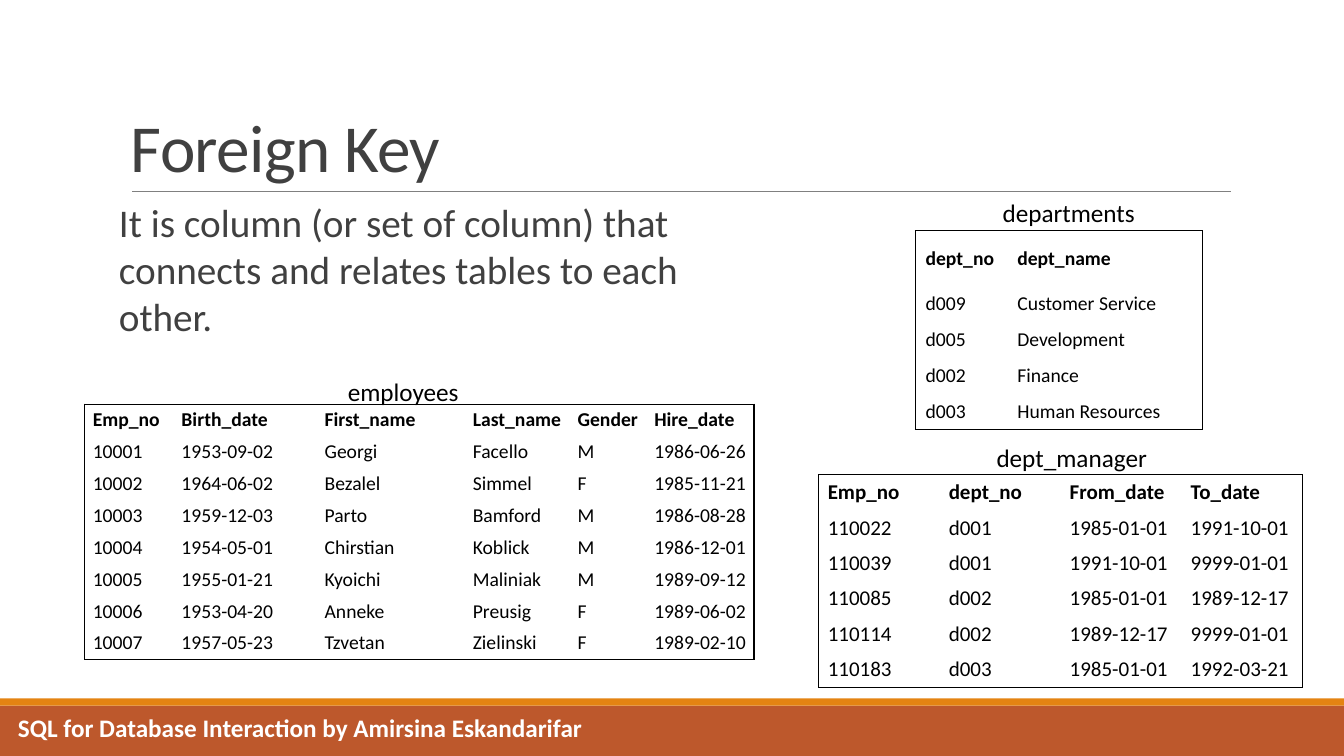
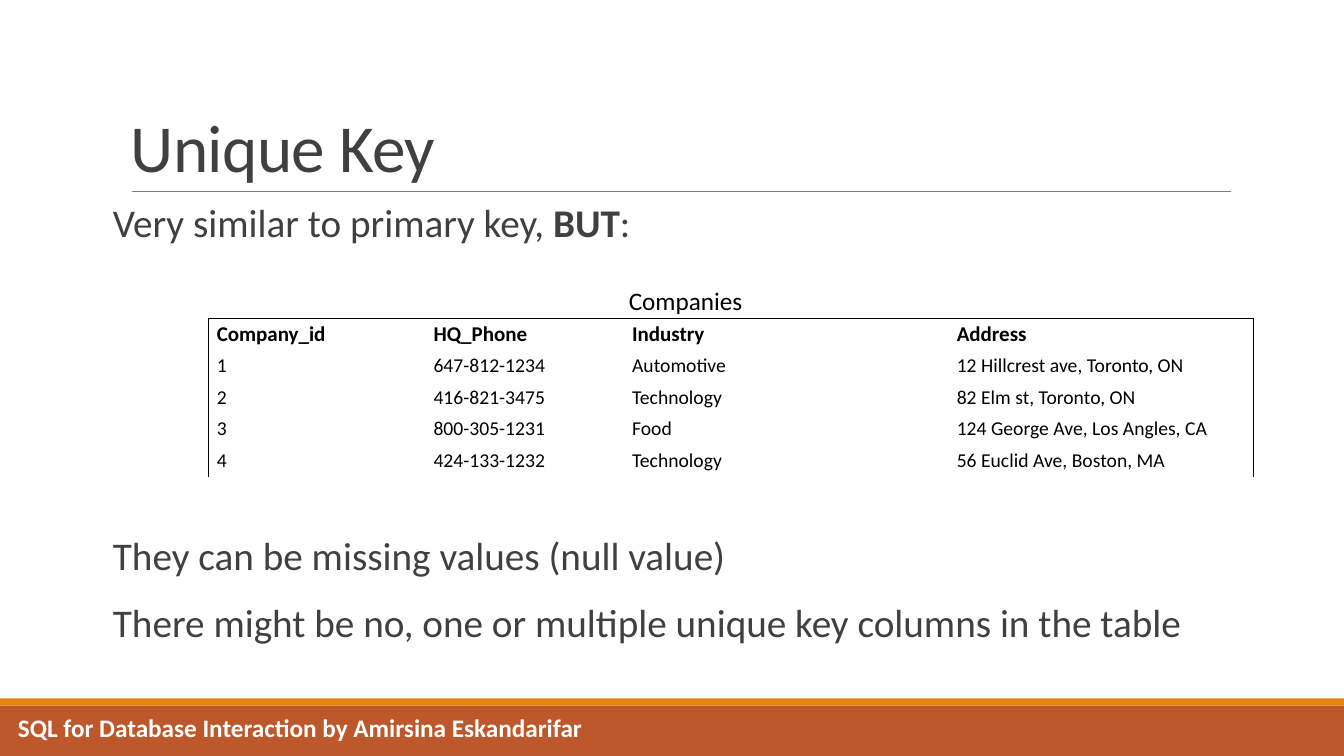
from dataclasses import dataclass
from typing import NamedTuple

from lxml import etree
from pptx import Presentation
from pptx.dml.color import RGBColor
from pptx.enum.shapes import MSO_CONNECTOR, MSO_SHAPE
from pptx.enum.text import MSO_ANCHOR, PP_ALIGN
from pptx.oxml.ns import qn
from pptx.slide import Slide
from pptx.text.text import TextFrame, _Paragraph, _Run
from pptx.util import Emu, Pt

PX = 9144
RECT = MSO_SHAPE.RECTANGLE
STRAIGHT = MSO_CONNECTOR.STRAIGHT
LEFT, CENTER = PP_ALIGN.LEFT, PP_ALIGN.CENTER
TOP, MIDDLE, BOTTOM = MSO_ANCHOR.TOP, MSO_ANCHOR.MIDDLE, MSO_ANCHOR.BOTTOM
PLAIN_GRID = "{2D5ABB26-0587-4C30-8999-92F81FD0307C}"
FOOTER = "SQL for Database Interaction by Amirsina Eskandarifar"


class Box(NamedTuple):
    """Left, top, width and height in px."""
    x: int
    y: int
    w: int
    h: int


@dataclass(frozen=True)
class Font:
    """Size, colour and weight of a run."""
    size: int
    color: str
    bold: bool = False
    track: int = 0


@dataclass(frozen=True)
class Theme:
    """Colours and type sizes shared by the slides."""
    face: str = "Calibri"
    band: str = "BD582C"
    strip: str = "E48312"
    rule: str = "808080"
    ink: str = "000000"
    title: Font = Font(48, "404040", track=-50)
    body: Font = Font(28, "404040")
    label: Font = Font(18, "000000")
    footer: Font = Font(18, "FFFFFF", bold=True)


THEME = Theme()


@dataclass(frozen=True)
class Grid:
    """A framed table with its caption."""
    name: str
    label: Box
    x: int
    y: int
    tall: int
    cols: tuple[int, ...]
    rows: tuple[tuple[str, ...], ...]
    size: int = 14
    head_size: int = 14
    head_tall: int = 0
    inset: int = 8
    closed: bool = True


@dataclass(frozen=True)
class Point:
    """A body paragraph; asterisks set off bold words."""
    text: str
    before: int = 12


@dataclass(frozen=True)
class Page:
    """The content of one slide."""
    title: str
    body: Box
    points: tuple[Point, ...]
    grids: tuple[Grid, ...]


STAFF = Grid(
    "employees", Box(177, 368, 446, 40), 84, 401, 253,
    (88, 142, 147, 104, 76, 107),
    (
        ("Emp_no", "Birth_date", "First_name", "Last_name", "Gender", "Hire_date"),
        ("10001", "1953-09-02", "Georgi", "Facello", "M", "1986-06-26"),
        ("10002", "1964-06-02", "Bezalel", "Simmel", "F", "1985-11-21"),
        ("10003", "1959-12-03", "Parto", "Bamford", "M", "1986-08-28"),
        ("10004", "1954-05-01", "Chirstian", "Koblick", "M", "1986-12-01"),
        ("10005", "1955-01-21", "Kyoichi", "Maliniak", "M", "1989-09-12"),
        ("10006", "1953-04-20", "Anneke", "Preusig", "F", "1989-06-02"),
        ("10007", "1957-05-23", "Tzvetan", "Zielinski", "F", "1989-02-10"),
    ),
)
CHIEFS = Grid(
    "dept_manager", Box(840, 434, 446, 40), 812, 471, 211, (120,) * 4,
    (
        ("Emp_no", "dept_no", "From_date", "To_date"),
        ("110022", "d001", "1985-01-01", "1991-10-01"),
        ("110039", "d001", "1991-10-01", "9999-01-01"),
        ("110085", "d002", "1985-01-01", "1989-12-17"),
        ("110114", "d002", "1989-12-17", "9999-01-01"),
        ("110183", "d003", "1985-01-01", "1992-03-21"),
    ),
    size=15, head_size=15, inset=9,
)
UNITS = Grid(
    "departments", Box(837, 191, 446, 40), 908, 229, 197, (91, 194),
    (
        ("dept_no", "dept_name"),
        ("d009", "Customer Service"),
        ("d005", "Development"),
        ("d002", "Finance"),
        ("d003", "Human Resources"),
    ),
    head_tall=55, inset=10,
)
FIRMS = Grid(
    "Companies", Box(457, 278, 446, 40), 207, 316, 157, (215, 197, 322, 302),
    (
        ("Company_id", "HQ_Phone", "Industry", "Address"),
        ("1", "647-812-1234", "Automotive", "12 Hillcrest ave, Toronto, ON"),
        ("2", "416-821-3475", "Technology", "82 Elm st, Toronto, ON"),
        ("3", "800-305-1231", "Food", "124 George Ave, Los Angles, CA"),
        ("4", "424-133-1232", "Technology", "56 Euclid Ave, Boston, MA"),
    ),
    head_size=15, closed=False,
)
PAGES = (
    Page(
        "Foreign Key", Box(118, 192, 655, 501),
        (Point("It is column (or set of column) that connects and relates tables to each other."),),
        (STAFF, CHIEFS, UNITS),
    ),
    Page(
        "Unique Key", Box(112, 192, 1125, 501),
        (
            Point("Very similar to primary key, *BUT*:"),
            Point("They can be missing values (null value)", before=202),
            Point("There might be no, one or multiple unique key columns in the table"),
        ),
        (FIRMS,),
    ),
)


def scale(box: Box) -> tuple[Emu, ...]:
    """Turn a box in px into EMU."""
    return tuple(Emu(side * PX) for side in box)


def style(run: _Run, font: Font) -> None:
    """Apply a font to a run."""
    run.font.name = THEME.face
    run.font.size = Pt(font.size)
    run.font.bold = font.bold
    run.font.color.rgb = RGBColor.from_string(font.color)
    if font.track:
        run.font._element.set("spc", str(font.track))


def add_text(slide: Slide, box: Box, text: str, font: Font,
             align: PP_ALIGN = LEFT, anchor: MSO_ANCHOR = TOP) -> TextFrame:
    """Add a wrapped text box."""
    frame = slide.shapes.add_textbox(*scale(box)).text_frame
    frame.word_wrap = True
    frame.vertical_anchor = anchor
    frame.text = text
    for para in frame.paragraphs:
        para.alignment = align
        for run in para.runs:
            style(run, font)
    return frame


def fill_point(para: _Paragraph, point: Point) -> None:
    """Write a body paragraph with its bold words."""
    para.space_before, para.space_after = Pt(point.before), Pt(2)
    for place, part in enumerate(point.text.split("*")):
        run = para.add_run()
        run.text = part
        style(run, Font(THEME.body.size, THEME.body.color, bold=place % 2 == 1))


def add_body(slide: Slide, page: Page) -> None:
    """Add the body paragraphs of a page."""
    frame = add_text(slide, page.body, "", THEME.body)
    frame.margin_left = frame.margin_right = 0
    for place, point in enumerate(page.points):
        fill_point(frame.add_paragraph() if place else frame.paragraphs[0], point)


def add_band(slide: Slide, box: Box, color: str) -> None:
    """Add a flat band of colour."""
    band = slide.shapes.add_shape(RECT, *scale(box))
    band.shadow.inherit = False
    band.fill.solid()
    band.fill.fore_color.rgb = RGBColor.from_string(color)
    band.line.fill.background()


def add_rule(slide: Slide) -> None:
    """Add the thin line below the title."""
    rule = slide.shapes.add_connector(STRAIGHT, *scale(Box(131, 190, 1221, 190)))
    rule.line.color.rgb = RGBColor.from_string(THEME.rule)
    rule.line.width = Pt(0.5)
    etree.SubElement(rule._element.spPr, qn("a:effectLst"))


def add_edge(cell_props: etree._Element, side: str, shown: bool) -> None:
    """Draw or clear one border of a cell."""
    edge = etree.SubElement(cell_props, qn(f"a:ln{side}"), w=str(Pt(1)))
    if shown:
        fill = etree.SubElement(edge, qn("a:solidFill"))
        etree.SubElement(fill, qn("a:srgbClr"), val=THEME.ink)
    else:
        etree.SubElement(edge, qn("a:noFill"))


def add_grid(slide: Slide, grid: Grid) -> None:
    """Add a table framed on its outer sides, then its caption."""
    count, width = len(grid.rows), len(grid.cols)
    box = Box(grid.x, grid.y, sum(grid.cols), grid.tall)
    table = slide.shapes.add_table(count, width, *scale(box)).table
    table.first_row = table.horz_banding = False
    table._tbl.tblPr[0].text = PLAIN_GRID
    for col, wide in zip(table.columns, grid.cols):
        col.width = Emu(wide * PX)
    head = grid.head_tall * PX or grid.tall * PX // count
    rest = (grid.tall * PX - head) // (count - 1)
    for r, texts in enumerate(grid.rows):
        table.rows[r].height = Emu(rest if r else head)
        font = Font(grid.size if r else grid.head_size, THEME.ink, bold=r == 0)
        for c, text in enumerate(texts):
            cell = table.cell(r, c)
            cell.text_frame.text = text
            style(cell.text_frame.paragraphs[0].runs[0], font)
            cell.vertical_anchor = MIDDLE
            cell.margin_left = cell.margin_right = Emu(grid.inset * PX)
            cell.margin_top = cell.margin_bottom = Emu(3 * PX)
            edges = {"L": c == 0, "R": c == width - 1, "T": r == 0,
                     "B": grid.closed and r == count - 1}
            for side, shown in edges.items():
                add_edge(cell._tc.get_or_add_tcPr(), side, shown)
            cell.fill.background()
    add_text(slide, grid.label, grid.name, THEME.label, CENTER)


def add_page(slide: Slide, page: Page) -> None:
    """Draw the shared frame and the content of a page."""
    add_band(slide, Box(0, 700, 1333, 50), THEME.band)
    add_band(slide, Box(0, 693, 1333, 7), THEME.strip)
    add_rule(slide)
    title = add_text(slide, Box(120, 31, 1100, 159), page.title, THEME.title, anchor=BOTTOM)
    title.paragraphs[0].line_spacing = 0.85
    add_body(slide, page)
    add_text(slide, Box(8, 702, 891, 40), FOOTER, THEME.footer)
    for grid in page.grids:
        add_grid(slide, grid)


def main() -> None:
    """Build and save the slides."""
    deck = Presentation()
    deck.slide_width, deck.slide_height = Emu(1333 * PX), Emu(750 * PX)
    for page in PAGES:
        add_page(deck.slides.add_slide(deck.slide_layouts[6]), page)
    deck.save("out.pptx")


if __name__ == "__main__":
    main()
